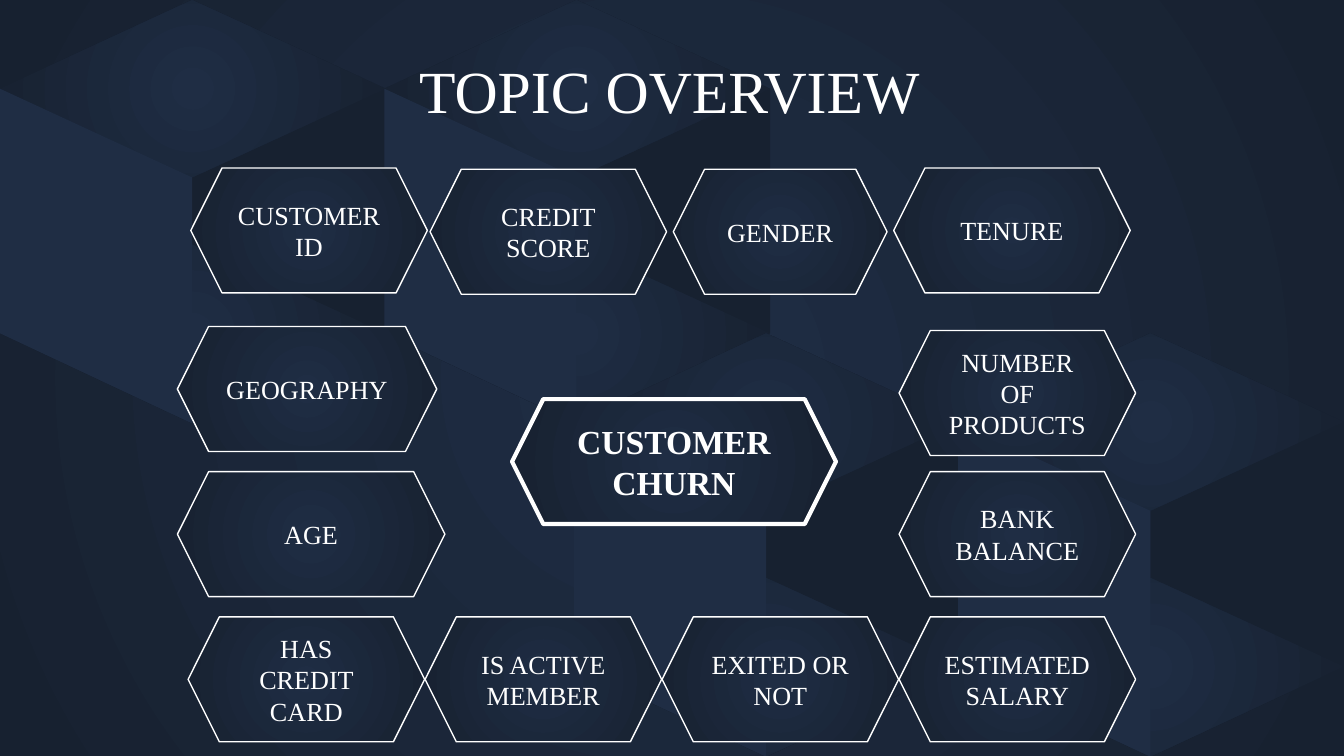
from typing import NamedTuple

from lxml import etree
from pptx import Presentation
from pptx.dml.color import RGBColor
from pptx.enum.shapes import MSO_SHAPE
from pptx.enum.text import MSO_ANCHOR, MSO_AUTO_SIZE, PP_ALIGN
from pptx.oxml.ns import qn
from pptx.util import Inches, Pt

HEXAGON = MSO_SHAPE.HEXAGON
MIDDLE = MSO_ANCHOR.MIDDLE
GROW = MSO_AUTO_SIZE.SHAPE_TO_FIT_TEXT
CENTER = PP_ALIGN.CENTER

NAVY = RGBColor(0x1F, 0x2D, 0x44)
DARK = RGBColor(0x17, 0x21, 0x30)
WHITE = RGBColor(0xFF, 0xFF, 0xFF)
FONT = "Times New Roman"


class Hex(NamedTuple):
    text: str
    left: float
    top: float
    width: float = 1.76
    size: int = 14
    line: float = 0.75
    bold: bool = False


class Face(NamedTuple):
    points: tuple
    color: RGBColor | None  # None means a radial gradient


# Cube outline: columns and rows, measured from its top left corner
MID, WIDE = 1.43, 2.87
FACES = [
    Face(((MID, 3.15), (MID, 1.32), (WIDE, 0.66), (WIDE, 2.48)), DARK),
    Face(((MID, 1.82), (0, 2.48), (MID, 3.15), (WIDE, 2.48)), None),
    Face(((MID, 0), (0, 0.66), (MID, 1.32), (WIDE, 0.66)), None),
    Face(((MID, 3.15), (MID, 1.32), (0, 0.66), (0, 2.48)), NAVY),
]
CUBES = [(0, 0), (2.86, 0), (4.27, 2.48), (7.13, 2.48)]

HEXES = [
    Hex("CUSTOMER CHURN", 3.81, 2.97, 2.41, 18, 2.25, True),
    Hex("CUSTOMER ID", 1.42, 1.25),
    Hex("CREDIT SCORE", 3.2, 1.26),
    Hex("GENDER", 5.01, 1.26, 1.59),
    Hex("TENURE", 6.65, 1.25),
    Hex("GEOGRAPHY", 1.32, 2.43, 1.93),
    Hex("NUMBER OF PRODUCTS", 6.69, 2.46),
    Hex("AGE", 1.32, 3.51, 1.99),
    Hex("BANK BALANCE", 6.69, 3.51),
]
LAST_ROW = ["HAS CREDIT CARD", "IS ACTIVE MEMBER", "EXITED OR NOT",
            "ESTIMATED SALARY"]
FIRST, LAST = 1.4, 6.69
STEP = (LAST - FIRST) / (len(LAST_ROW) - 1)
HEXES += [Hex(text, FIRST + STEP * i, 4.59) for i, text in enumerate(LAST_ROW)]


def glow(fill, root) -> None:
    """Fill with a gradient that runs from the centre outwards."""
    fill.gradient()
    for stop, color in zip(fill.gradient_stops, (NAVY, DARK)):
        stop.color.rgb = color
    grad = root.find(".//" + qn("a:gradFill"))
    grad.remove(grad.find(qn("a:lin")))
    ring = etree.SubElement(grad, qn("a:path"), path="circle")
    etree.SubElement(ring, qn("a:fillToRect"),
                     {side: "50000" for side in "ltrb"})


def style(frame, size: int, bold: bool = False) -> None:
    font = frame.paragraphs[0].runs[0].font
    font.name, font.size, font.bold = FONT, Pt(size), bold
    font.color.rgb = WHITE


def draw_face(slide, face: Face, left: float, top: float) -> None:
    points = [(Inches(left + x), Inches(top + y)) for x, y in face.points]
    pen = slide.shapes.build_freeform(*points[0])
    pen.add_line_segments(points[1:], close=True)
    shape = pen.convert_to_shape()
    shape.shadow.inherit = False
    shape.line.fill.background()
    if face.color is None:
        glow(shape.fill, shape.element)
    else:
        shape.fill.solid()
        shape.fill.fore_color.rgb = face.color


def draw_hex(slide, item: Hex) -> None:
    shape = slide.shapes.add_shape(
        HEXAGON, Inches(item.left), Inches(item.top),
        Inches(item.width), Inches(0.93))
    shape.adjustments[0] = 0.25
    shape.shadow.inherit = False
    glow(shape.fill, shape.element)
    shape.line.color.rgb = WHITE
    shape.line.width = Pt(item.line)
    frame = shape.text_frame
    frame.word_wrap = True
    frame.vertical_anchor = MIDDLE
    frame.margin_left = frame.margin_right = Inches(0.1)
    frame.margin_top = frame.margin_bottom = Inches(0.1)
    frame.text = item.text
    frame.paragraphs[0].alignment = CENTER
    style(frame, item.size, item.bold)


def main() -> None:
    deck = Presentation()
    deck.slide_width = Inches(10)
    deck.slide_height = Inches(10 * 9 / 16)
    slide = deck.slides.add_slide(deck.slide_layouts[6])

    # Backdrop
    glow(slide.background.fill, slide.element)
    for left, top in CUBES:
        for face in FACES:
            draw_face(slide, face, left, top)

    # Title
    title = slide.shapes.add_textbox(
        Inches(3.02), Inches(0.35), Inches(4.92), Inches(0.64))
    frame = title.text_frame
    frame.word_wrap = True
    frame.auto_size = GROW
    frame.text = "TOPIC OVERVIEW"
    style(frame, 32)

    # Topic and its factors
    for item in HEXES:
        draw_hex(slide, item)

    deck.save("out.pptx")


if __name__ == "__main__":
    main()
